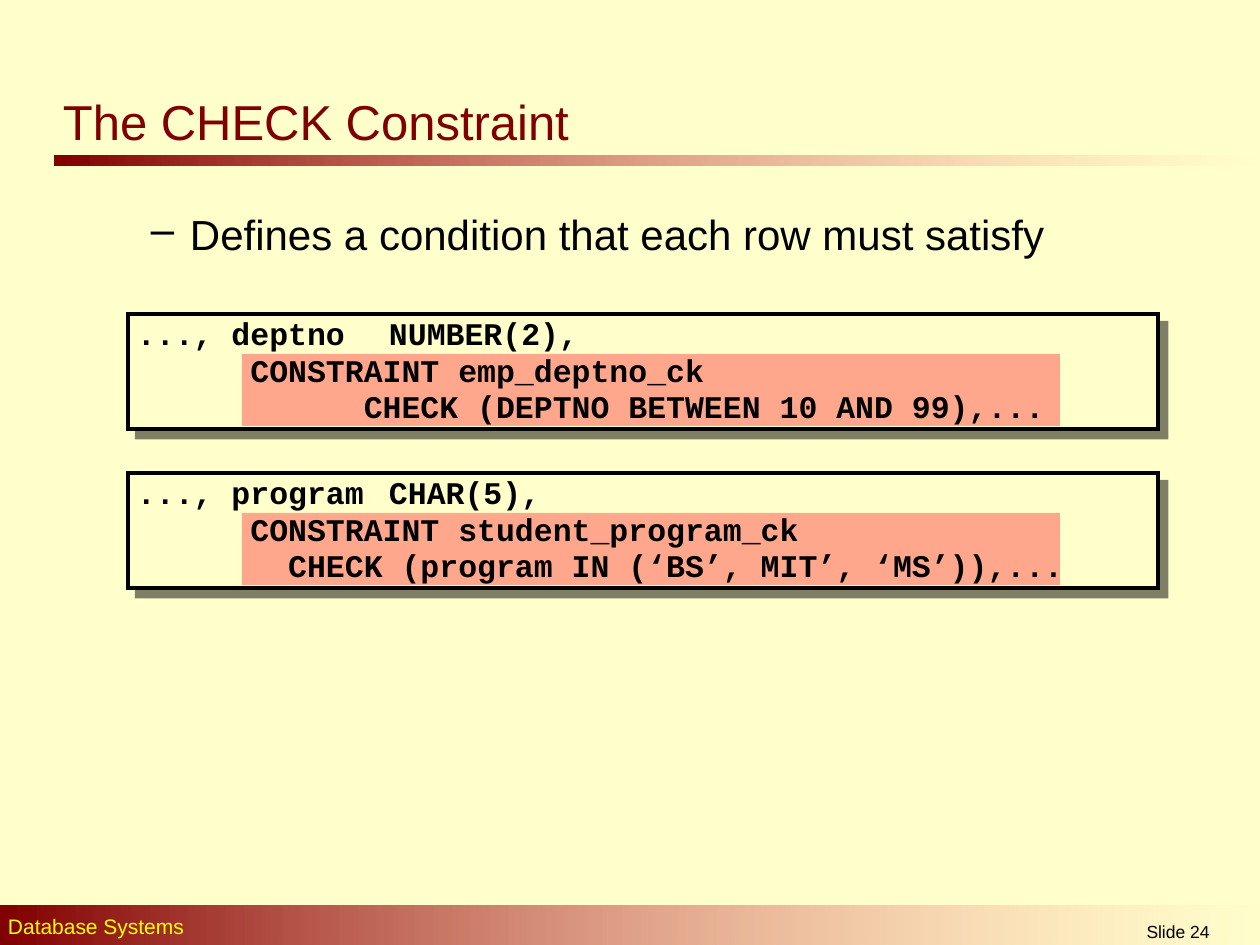
"""Build the CHECK constraint slide."""
from dataclasses import dataclass

from lxml import etree
from pptx import Presentation
from pptx import util as u
from pptx.dml.color import RGBColor
from pptx.enum import shapes, text
from pptx.oxml.ns import qn

PX = u.Inches(1) // 126


@dataclass(frozen=True)
class Theme:
    """Colours, fonts, type sizes and line spacing."""
    back: str = "FFFFCC"
    ink: str = "000000"
    dark: str = "800000"
    fade: str = "FF8585"
    mark: str = "FF5050"
    foot: str = "FFFF00"
    sans: str = "Arial"
    mono: str = "Courier New"
    title: int = 28
    body: int = 24
    code: int = 18
    label: int = 12
    page: int = 10
    lead: float = 1.2
    tight: float = 1.15


T = Theme()


def rgb(code):
    """Turn a hex code into a colour."""
    return RGBColor.from_string(code)


def child(node, tag, **attrs):
    """Append an element with the given attributes."""
    sub = etree.SubElement(node, qn(tag))
    for key, val in attrs.items():
        sub.set(key, str(val))
    return sub


def fade(node, alpha):
    """Set the opacity percent of the last colour in a fill."""
    tone = list(node.iter(qn("a:srgbClr")))[-1]
    child(tone, "a:alpha", val=alpha * 1000)


def block(slide, box):
    """Add a plain rectangle with no line or shadow."""
    item = slide.shapes.add_shape(shapes.MSO_SHAPE.RECTANGLE, *(n * PX for n in box))
    item.shadow.inherit = False
    item.line.fill.background()
    return item


def band(slide, box):
    """Add a bar that fades out to the right."""
    item = block(slide, box)
    item.fill.gradient()
    item.fill.gradient_angle = 0
    for stop, tone in zip(item.fill.gradient_stops, (T.dark, T.fade)):
        stop.color.rgb = rgb(tone)
    fade(item.element.spPr.find(qn("a:gradFill")), 0)


def solid(slide, box, tone):
    """Add a rectangle in one colour."""
    item = block(slide, box)
    item.fill.solid()
    item.fill.fore_color.rgb = rgb(tone)
    return item


def panel(slide, box):
    """Add a sharp-cornered panel with a hard shadow."""
    item = solid(slide, box, T.back)
    item.line.color.rgb = rgb(T.ink)
    item.line.width = u.Pt(2)
    child(item.element.spPr.find(qn("a:ln")), "a:miter", lim=800000)
    drop = child(item.element.spPr.find(qn("a:effectLst")), "a:outerShdw",
                 blurRad=0, dist=u.Pt(7.1), dir=45 * 60000, algn="ctr", rotWithShape=0)
    child(drop, "a:srgbClr", val=T.ink)
    fade(drop, 50)


def write(slide, box, lines, size, tone=T.ink, face=T.sans, bold=False,
          align=text.PP_ALIGN.LEFT, dash=False, lead=T.lead):
    """Add a text box with one paragraph per line."""
    frame = slide.shapes.add_textbox(*(n * PX for n in box)).text_frame
    look = {"word_wrap": True, "margin_left": 12 * PX, "margin_right": 12 * PX,
            "margin_top": 6 * PX, "margin_bottom": 6 * PX}
    for key, val in look.items():
        setattr(frame, key, val)
    frame.text = "\n".join(lines)
    for para in frame.paragraphs:
        if dash:
            props = para._p.get_or_add_pPr()
            props.set("marL", str(102 * PX))
            props.set("indent", str(-39 * PX))
            child(props, "a:buChar", char="–")
        para.alignment = align
        para.line_spacing = u.Pt(size * lead)
        font = para.runs[0].font
        for key, val in {"size": u.Pt(size), "name": face, "bold": bold}.items():
            setattr(font, key, val)
        font.color.rgb = rgb(tone)


def sample(slide, top, lines):
    """Add a code panel with its constraint marked."""
    panel(slide, (128, top, 1030, 115))
    mark = solid(slide, (242, top + 40, 818, 72), T.mark)
    fade(mark.element.spPr, 50)
    write(slide, (125, top - 4, 1060, 118), lines, T.code, face=T.mono,
          bold=True, lead=T.tight)


def main():
    """Build and save the slide."""
    deck = Presentation()
    deck.slide_width, deck.slide_height = u.Inches(10), u.Inches(7.5)
    slide = deck.slides.add_slide(deck.slide_layouts[6])
    slide.background.fill.solid()
    slide.background.fill.fore_color.rgb = rgb(T.back)

    band(slide, (54, 156, 1206, 10))
    band(slide, (0, 906, 1264, 44))
    write(slide, (-4, 908, 814, 38), ["Database Systems"], T.label, T.foot)
    write(slide, (1047, 915, 262, 30), ["Slide 24"], T.page,
          align=text.PP_ALIGN.CENTER)
    write(slide, (51, 86, 620, 64), ["The CHECK Constraint"], T.title, T.dark)
    write(slide, (76, 203, 1125, 63),
          ["Defines a condition that each row must satisfy"], T.body, dash=True)

    samples = [
        ["..., deptno\tNUMBER(2),",
         "      CONSTRAINT emp_deptno_ck",
         "            CHECK (DEPTNO BETWEEN 10 AND 99),..."],
        ["..., program\tCHAR(5),",
         "      CONSTRAINT student_program_ck",
         "        CHECK (program IN (‘BS’, MIT’, ‘MS’)),..."],
    ]
    for row, lines in enumerate(samples):
        sample(slide, 314 + 159 * row, lines)
    deck.save("out.pptx")


if __name__ == "__main__":
    main()
